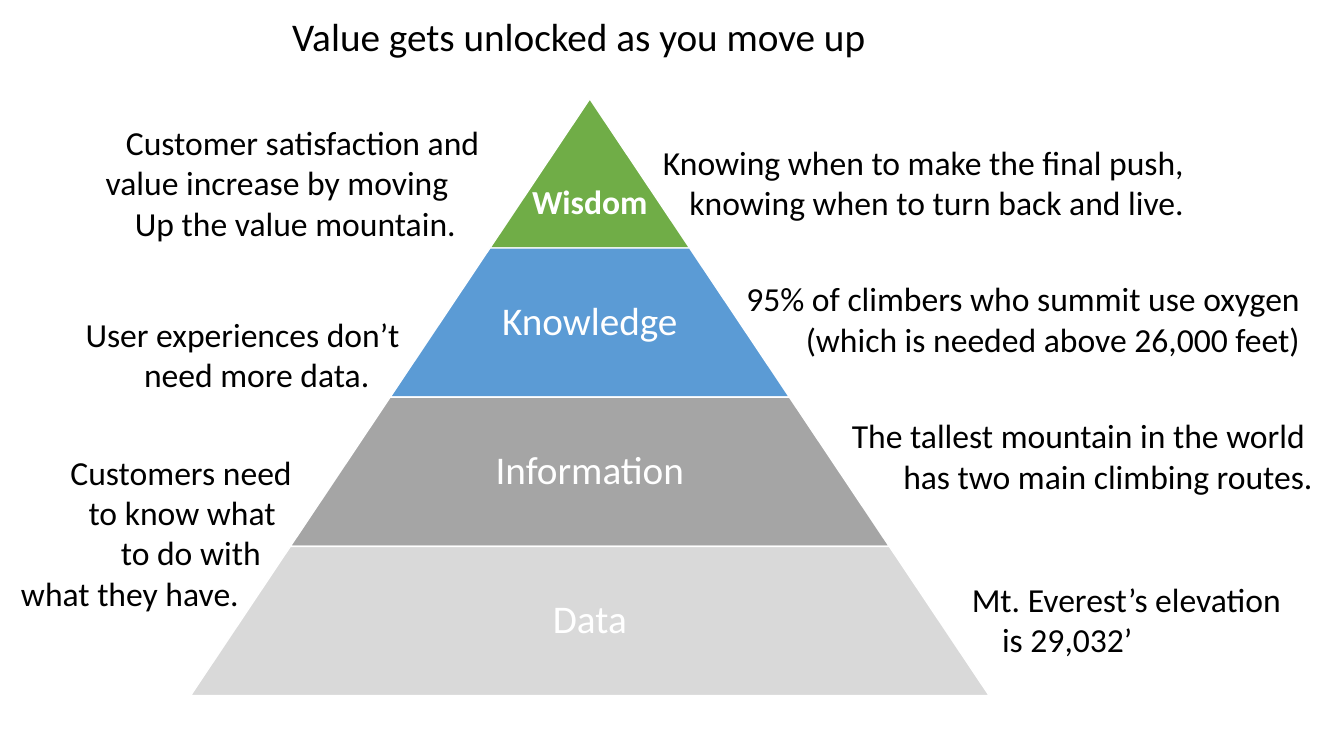
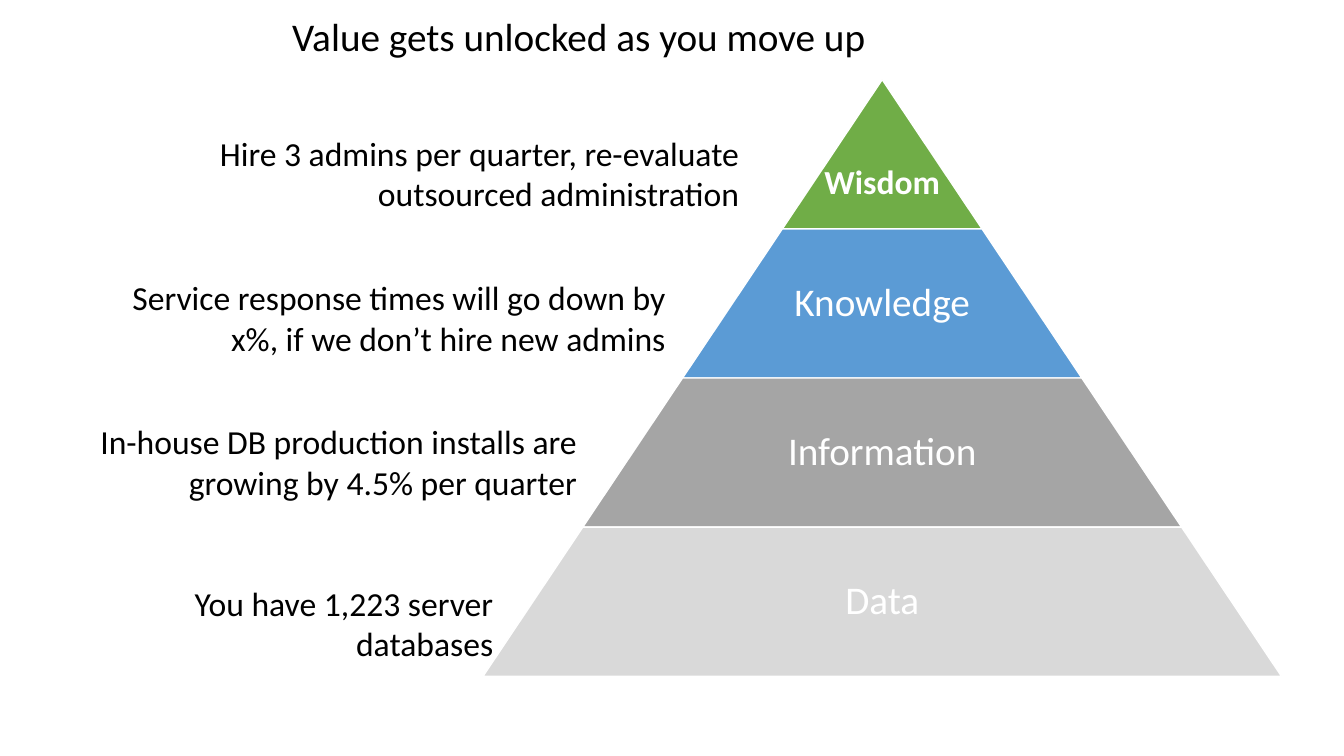
import pptx
import pptx.dml.color
import pptx.enum.shapes
import pptx.enum.text
import pptx.util

Inches = pptx.util.Inches
Pt = pptx.util.Pt
Align = pptx.enum.text.PP_ALIGN
Anchor = pptx.enum.text.MSO_ANCHOR
TITLE = "Value gets unlocked as you move up"
TIERS = [
    ("Wisdom", "70AD47", 24, True, 0.63),
    ("Knowledge", "5B9BD5", 28, False, 0.04),
    ("Information", "A5A5A5", 28, False, 0.04),
    ("Data", "D9D9D9", 28, False, 0.04),
]


def color(code):
    return pptx.dml.color.RGBColor.from_string(code)


class Deck:
    """Hold the shared style and the current slide."""

    font = "Calibri"
    ink = "000000"
    white = "FFFFFF"
    step = 1.98
    tall = 1.48

    def __init__(self):
        self.file = pptx.Presentation()
        self.file.slide_width = Inches(13.33)
        self.file.slide_height = Inches(7.5)
        self.slide = None

    def page(self):
        self.slide = self.file.slides.add_slide(self.file.slide_layouts[6])
        self.text(2.8, 0.07, 6.02, 0.57, [(TITLE, 0)], size=28)

    def text(self, left, top, width, height, lines, size=24, align=Align.LEFT,
             ink=ink, bold=False):
        box = self.slide.shapes.add_textbox(
            Inches(left), Inches(top), Inches(width), Inches(height))
        frame = box.text_frame
        frame.word_wrap = True
        for place, (words, indent) in enumerate(lines):
            line = frame.add_paragraph() if place else frame.paragraphs[0]
            line.text = words
            line.alignment = align
            line.font.name = self.font
            line.font.size = Pt(size)
            line.font.bold = bold
            line.font.color.rgb = color(ink)
            if indent:
                line._p.get_or_add_pPr().set("marL", str(Inches(indent)))
        return frame

    def note(self, left, top, width, words):
        self.text(left, top, width, 0.91, [(words, 0)], align=Align.RIGHT)

    def tier(self, left, top, width, label, fill, size, bold, inset):
        shape = self.slide.shapes.add_shape(
            pptx.enum.shapes.MSO_SHAPE.TRAPEZOID,
            Inches(left), Inches(top), Inches(width), Inches(self.tall))
        shape.adjustments[0] = self.step / 2 / self.tall
        shape.shadow.inherit = False
        shape.fill.solid()
        shape.fill.fore_color.rgb = color(fill)
        shape.line.color.rgb = color(self.white)
        shape.line.width = Pt(1)
        frame = self.text(left, top, width, self.tall, [(label, 0)], size,
                          Align.CENTER, self.white, bold)
        frame.vertical_anchor = Anchor.MIDDLE
        frame.margin_left = frame.margin_right = Inches(0.04)
        frame.margin_top = Inches(inset)
        frame.margin_bottom = Inches(0.04)
        frame.paragraphs[0].line_spacing = 0.9

    def mountain(self, center, top):
        for row, tier in enumerate(TIERS):
            width = self.step * (row + 1)
            self.tier(center - width / 2, top + self.tall * row, width, *tier)


def main():
    deck = Deck()

    deck.page()
    deck.mountain(5.85, 0.98)
    deck.text(9.54, 5.69, 3.7, 0.91, [
        ("Mt. Everest’s elevation", 0), ("is 29,032’", 0.3)])
    deck.text(7.82, 4.07, 5.45, 0.91, [
        ("The tallest mountain in the world", 0.53),
        ("has two main climbing routes.", 1.04)])
    deck.note(7.24, 2.71, 5.75,
              "95% of climbers who summit use oxygen (which is needed above 26,000 feet)")
    deck.note(6.22, 1.36, 5.62,
              "Knowing when to make the final push, knowing when to turn back and live.")
    deck.text(0.33, 1.16, 4.67, 1.31, [
        ("Customer satisfaction and", 0.82),
        ("value increase by moving", 0.62),
        ("Up the value mountain.", 0.91)])
    deck.text(0.45, 3.06, 3.75, 0.91, [
        ("User experiences don’t", 0.3), ("need more data.", 0.88)])
    deck.text(0, 4.43, 3.15, 1.72, [
        ("Customers need", 0.6),
        ("to know what", 0.78),
        ("to do with", 1.1),
        ("what they have.", 0.11)])

    deck.page()
    deck.mountain(8.75, 0.79)
    deck.note(0.4, 5.73, 4.59, "You have 1,223 server databases")
    deck.note(-0.03, 4.13, 5.85,
              "In-house DB production installs are growing by 4.5% per quarter")
    deck.note(1.13, 2.7, 5.57,
              "Service response times will go down by x%, if we don’t hire new admins")
    deck.note(1.86, 1.27, 5.57,
              "Hire 3 admins per quarter, re-evaluate outsourced administration")

    deck.file.save("out.pptx")


if __name__ == "__main__":
    main()
